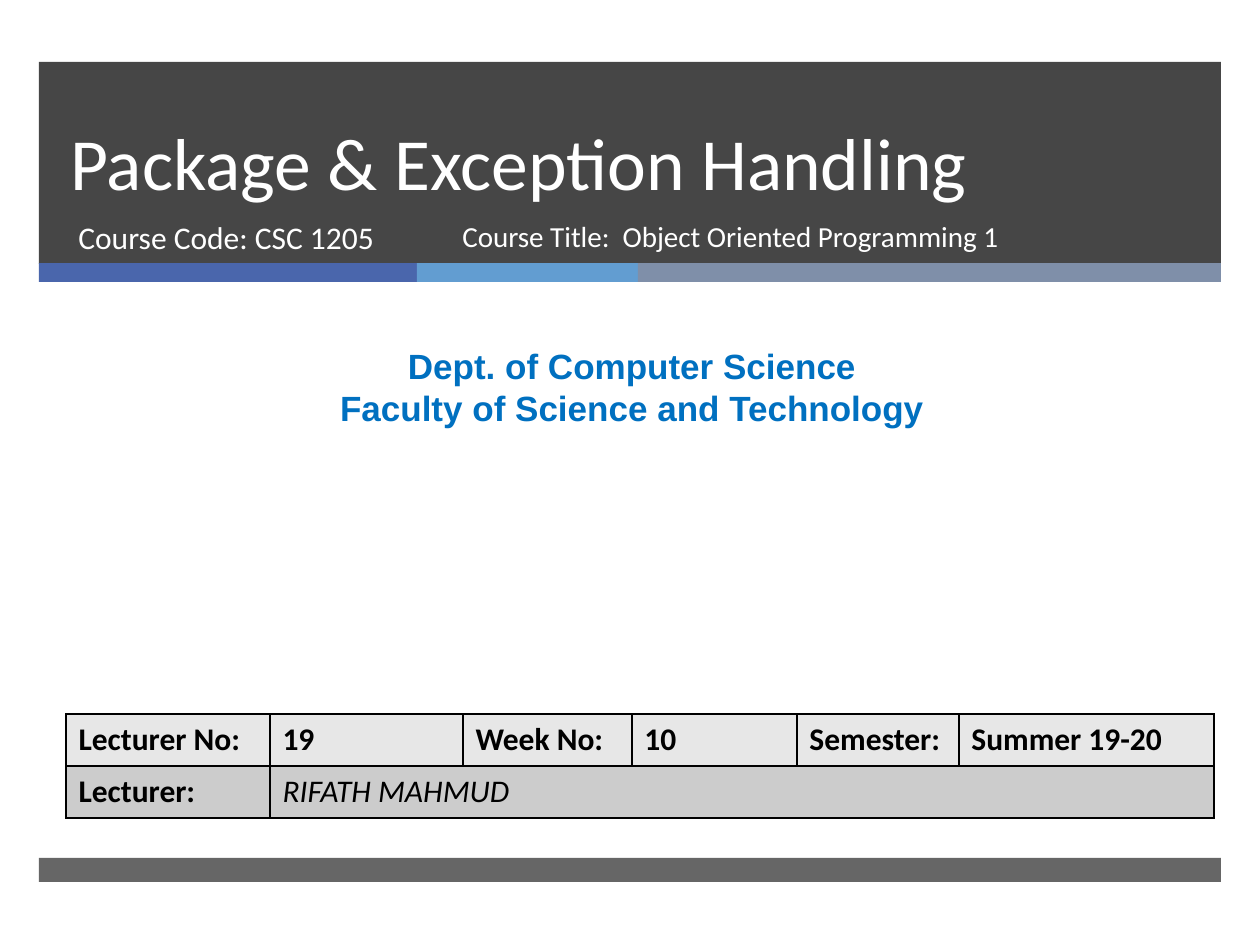
from lxml.etree import SubElement
from pptx import Presentation
from pptx.dml.color import RGBColor
from pptx.enum.shapes import MSO_SHAPE
from pptx.enum.text import MSO_ANCHOR, MSO_AUTO_SIZE, PP_ALIGN
from pptx.oxml.ns import qn
from pptx.util import Pt

PX = 914400 / 126
COLORS = {
    "dark": "262626", "indigo": "4A66AC", "sky": "629DD1", "slate": "7F8FA9",
    "white": "FFFFFF", "blue": "0070C0", "black": "000000",
    "row_light": "E7E7E7", "row_dark": "CCCCCC",
}


def px(*lengths):
    """Turn pixel lengths into EMU."""
    return [round(length * PX) for length in lengths]


def write(frame, lines, color, align=PP_ALIGN.LEFT, **font):
    """Fill a text frame with one paragraph a line, all in one format."""
    frame.word_wrap = True
    for index, line in enumerate(lines):
        para = frame.paragraphs[0] if index == 0 else frame.add_paragraph()
        para.alignment = align
        span = para.add_run()
        span.text = line
        span.font.color.rgb = RGBColor.from_string(COLORS[color])
        for name, value in font.items():
            setattr(span.font, name, value)


deck = Presentation()
deck.slide_width, deck.slide_height = px(1260, 945)
page = deck.slides.add_slide(deck.slide_layouts[5])
shapes = page.shapes

# Header, accent strip and footer: left, top, width, height, colour, opacity
bands = [
    (39, 62, 1182, 202, "dark", 85),
    (39, 263, 378, 19, "indigo", 100),
    (417, 263, 221, 19, "sky", 100),
    (638, 263, 583, 19, "slate", 100),
    (39, 858, 1182, 24, "dark", 70),
]
for *place, color, opacity in bands:
    band = shapes.add_shape(MSO_SHAPE.RECTANGLE, *px(*place))
    band.shadow.inherit = False
    band.line.fill.background()
    band.fill.solid()
    band.fill.fore_color.rgb = RGBColor.from_string(COLORS[color])
    if opacity < 100:
        tint = band.fill._xPr.find(".//" + qn("a:srgbClr"))
        SubElement(tint, qn("a:alpha"), val=str(opacity * 1000))

# Title, brought in front of the header band
title = shapes.title
title.left, title.top, title.width, title.height = px(58, 62, 1076, 150)
title.text_frame.vertical_anchor = MSO_ANCHOR.BOTTOM
title.text_frame.auto_size = MSO_AUTO_SIZE.NONE
write(title.text_frame, ["Package & Exception Handling"], "white",
      name="Calibri", size=Pt(42))
title.text_frame.paragraphs[0].line_spacing = Pt(46)
shapes._spTree.append(title._element)

# Course and department lines
captions = [
    ((66, 212, 384, 67), ["Course Code: CSC 1205"], "white", PP_ALIGN.LEFT,
     {"name": "Calibri", "size": Pt(18)}),
    ((450, 212, 581, 67), ["Course Title:  Object Oriented Programming 1"], "white",
     PP_ALIGN.LEFT, {"name": "Calibri", "size": Pt(16.6)}),
    ((10, 338, 1244, 97),
     ["Dept. of Computer Science", "Faculty of Science and Technology"], "blue",
     PP_ALIGN.CENTER, {"name": "Arial", "size": Pt(20), "bold": True}),
]
for place, lines, color, align, font in captions:
    box = shapes.add_textbox(*px(*place))
    write(box.text_frame, lines, color, align, **font)

# Lecture details
rows = [
    ["Lecturer No:", "19", "Week No:", "10", "Semester:", "Summer 19-20"],
    ["Lecturer:", "RIFATH MAHMUD", "", "", "", ""],
]
widths = [204, 193, 169, 165, 162, 255]
table = shapes.add_table(2, 6, *px(66, 714, sum(widths), 104)).table
table.first_row = table.horz_banding = False
for column, width in zip(table.columns, px(*widths)):
    column.width = width
for row in table.rows:
    row.height = px(52)[0]
table.cell(1, 1).merge(table.cell(1, 5))

for row_index, (texts, shade) in enumerate(zip(rows, ["row_light", "row_dark"])):
    for column_index, text in enumerate(texts):
        cell = table.cell(row_index, column_index)
        if text:
            is_name = (row_index, column_index) == (1, 1)
            write(cell.text_frame, [text], "black", name="Calibri", size=Pt(18),
                  bold=not is_name, italic=is_name)
        properties = cell._tc.get_or_add_tcPr()
        for side in ("lnL", "lnR", "lnT", "lnB"):
            border = SubElement(properties, qn(f"a:{side}"), w=str(Pt(1)))
            fill = SubElement(border, qn("a:solidFill"))
            SubElement(fill, qn("a:srgbClr"), val=COLORS["black"])
        cell.fill.solid()
        cell.fill.fore_color.rgb = RGBColor.from_string(COLORS[shade])

deck.save("out.pptx")
